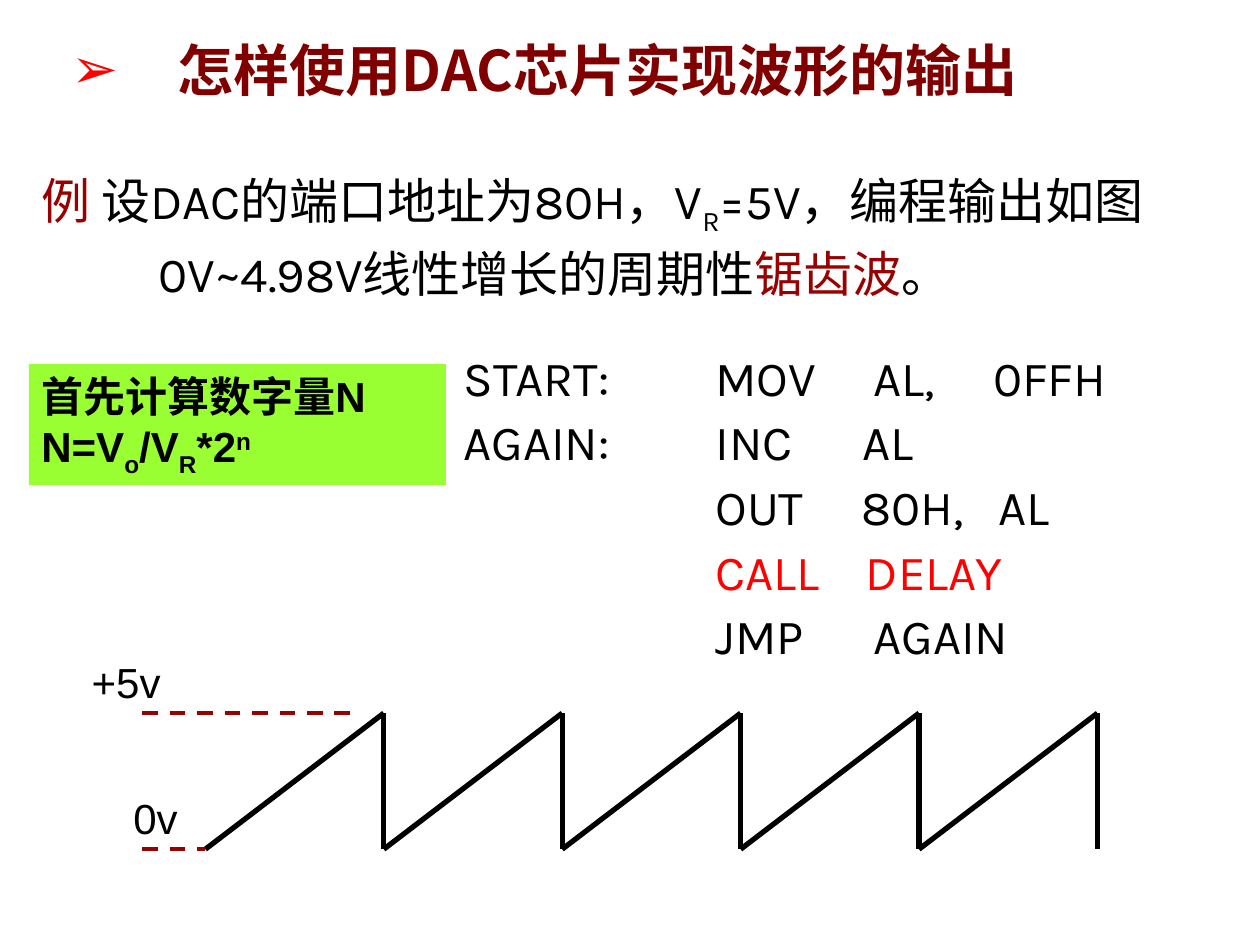
from lxml import etree
from pptx import Presentation, util as u
from pptx.dml.color import RGBColor
from pptx.enum import dml, shapes, text
from pptx.oxml import ns

# The slide is a grid of 100 columns by 75 rows
COLS, ROWS = 100, 75
CELL = u.Inches(0.1)
BLACK, RED, MAROON = "000000", "FF0000", "990000"
SANS = "Noto Sans CJK SC"


def grid(*cells):
    return [round(n * CELL) for n in cells]


def color(code):
    return RGBColor.from_string(code)


def node(top, tag, **attrs):
    return etree.SubElement(top, ns.qn(tag), attrs)


def style(run, base=0, tint=BLACK, **form):
    """Set the font of one run; base is a sub- or superscript shift in percent."""
    for key, value in form.items():
        setattr(run.font, key, value)
    run.font.color.rgb = color(tint)
    props = run._r.get_or_add_rPr()
    if base:
        props.set("baseline", str(base * 1000))
    node(props, "a:ea", typeface=SANS)


def mark(para, sign, tint):
    """Give a paragraph a coloured bullet."""
    props = para._p.get_or_add_pPr()
    node(node(props, "a:buClr"), "a:srgbClr", val=tint)
    node(props, "a:buFont", typeface="Arial")
    node(props, "a:buChar", char=sign)


def stops(para):
    """Set a tab stop at every inch."""
    tabs = node(para._p.get_or_add_pPr(), "a:tabLst")
    for inch in range(1, 9):
        node(tabs, "a:tab", pos=str(u.Inches(inch)), algn="l")


def box(slide, place, paras, form, fill=None, hang=0, lead=None, sign=None):
    """Add a text box; each paragraph is a list of (words, own format) runs."""
    shape = slide.shapes.add_textbox(*grid(*place))
    if fill:
        shape.fill.solid()
        shape.fill.fore_color.rgb = color(fill)
    frame = shape.text_frame
    frame.word_wrap = True
    frame.vertical_anchor = text.MSO_ANCHOR.TOP
    for i, runs in enumerate(paras):
        para = frame.paragraphs[0] if i == 0 else frame.add_paragraph()
        if sign:
            mark(para, sign, RED)
        stops(para)
        if hang:
            props = para._p.get_or_add_pPr()
            props.set("marL", str(grid(hang)[0]))
            props.set("indent", str(-grid(hang)[0]))
        if lead:
            para.line_spacing = lead
        for words, own in runs:
            run = para.add_run()
            run.text = words
            style(run, **{**form, **own})


def line(slide, start, end, tint=BLACK, width=3, dash=None):
    link = slide.shapes.add_connector(
        shapes.MSO_CONNECTOR.STRAIGHT, *grid(*start, *end))
    link.line.color.rgb = color(tint)
    link.line.width = u.Pt(width)
    if dash:
        link.line.dash_style = dash
    node(link._element.spPr, "a:effectLst")


def wave(slide, left, top, low, step, count):
    """Draw a sawtooth with its dashed level lines and labels."""
    for i in range(count):
        x = left + i * step
        line(slide, (x, low), (x + step, top))
        line(slide, (x + step, top), (x + step, low))
    form = dict(name="Arial", size=u.Pt(24))
    levels = [("+5v", 6.3, top, 27.9), ("0v", 9.6, low, left)]
    for words, x, y, end in levels:
        line(slide, (11.3, y), (end, y), MAROON, 2.25, dml.MSO_LINE.DASH)
        box(slide, (x, y - 5, 10, 5), [[(words, {})]], form)


def main():
    deck = Presentation()
    deck.slide_width, deck.slide_height = grid(COLS, ROWS)
    slide = deck.slides.add_slide(deck.slide_layouts[6])
    body = dict(name="Karla", size=u.Pt(28))
    sub, red, maroon = dict(base=-25), dict(tint=RED), dict(tint=MAROON)

    # Title
    box(slide, (4.7, 2.3, 90, 10), [[("怎样使用DAC芯片实现波形的输出", {})]],
        dict(name=SANS, size=u.Pt(32), bold=True, tint="800000"),
        hang=8.4, sign="➢")

    # Task
    box(slide, (2.3, 12.5, 94.2, 12), [[
        ("例 ", maroon), ("设DAC的端口地址为80H，V", {}), ("R", sub),
        ("=5V，编程输出如图0V~4.98V线性增长的周期性", {}),
        ("锯齿波", maroon), ("。", {})]], body, hang=9.3, lead=1.1)

    # Program
    box(slide, (35.8, 26.6, 64.2, 26.7), [
        [("START:\tMOV     AL,     0FFH", {})],
        [("AGAIN:\tINC      AL", {})],
        [("\t\tOUT     80H,   AL", {})],
        [("\t\t", {}), ("CALL    DELAY", red)],
        [("\t\tJMP      AGAIN", {})]], body, lead=1.1)

    # Output waveform
    wave(slide, left=16.3, top=56.6, low=67.4, step=14.16, count=5)

    # Formula
    box(slide, (2.3, 28.9, 33.1, 9.6), [
        [("首先计算数字量N", {})],
        [("N=V", {}), ("o", sub), ("/V", {}), ("R", sub), ("*2", {}),
         ("n", dict(base=30))]],
        dict(name="Arial", size=u.Pt(24), bold=True), fill="99FF33")

    deck.save("out.pptx")


if __name__ == "__main__":
    main()
